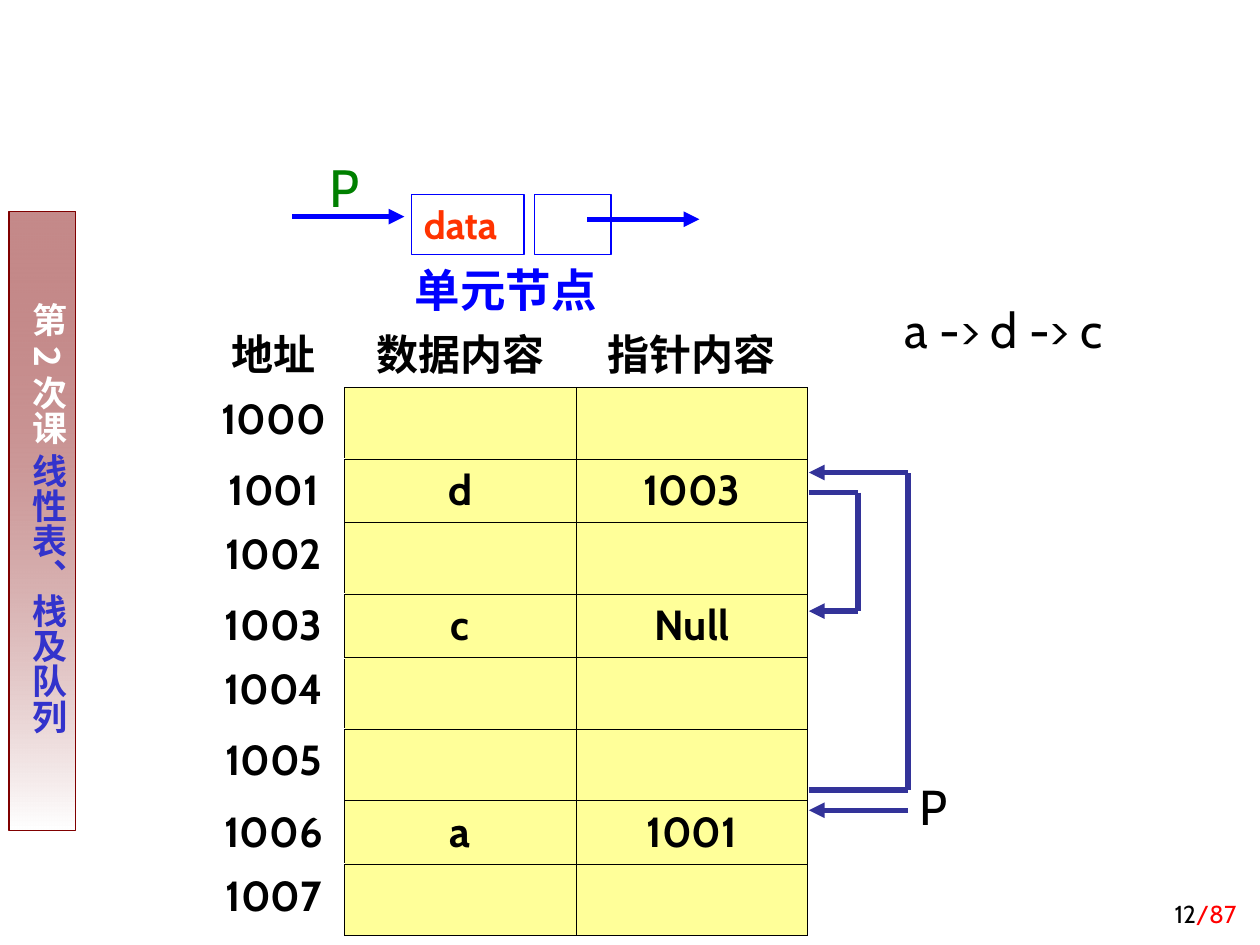
from lxml.etree import SubElement
from pptx import Presentation
from pptx.dml.color import RGBColor
from pptx.enum.shapes import MSO_CONNECTOR, MSO_SHAPE
from pptx.enum.text import MSO_ANCHOR, MSO_AUTO_SIZE, PP_ALIGN
from pptx.oxml.ns import qn
from pptx.util import Pt

BLACK = RGBColor(0, 0, 0)
WHITE = RGBColor(0xFF, 0xFF, 0xFF)
MAROON = RGBColor(0x80, 0, 0)
INDIGO = RGBColor(0x33, 0x33, 0xCC)
NAVY = RGBColor(0x33, 0x33, 0x99)
BLUE = RGBColor(0, 0, 0xFF)
GREEN = RGBColor(0, 0x80, 0)
RED = RGBColor(0xFF, 0, 0)
ORANGE = RGBColor(0xFF, 0x33, 0)
YELLOW = RGBColor(0xFF, 0xFF, 0x99)
LATIN, CHINESE = "Cabin", "Noto Sans CJK SC"


def add_run(para, text, size, color, bold=False, name=LATIN):
    span = para.add_run()
    span.text = text
    font = span.font
    font.size, font.bold, font.name = Pt(size), bold, name
    font.color.rgb = color
    SubElement(font._element, qn("a:ea"), typeface=name)


def add_line(x1, y1, x2, y2, color, arrow):
    line = slide.shapes.add_connector(
        MSO_CONNECTOR.STRAIGHT, Pt(x1), Pt(y1), Pt(x2), Pt(y2))
    line.line.color.rgb = color
    line.line.width = Pt(3)
    if arrow:
        SubElement(line.line._get_or_add_ln(), qn("a:tailEnd"), type="triangle")
    SubElement(line._element.spPr, qn("a:effectLst"))


deck = Presentation()
deck.slide_width, deck.slide_height = Pt(720), Pt(540)
slide = deck.slides.add_slide(deck.slide_layouts[6])

# Lecture title running down the left edge
sidebar = slide.shapes.add_shape(
    MSO_SHAPE.RECTANGLE, Pt(5.2), Pt(121), Pt(38.2), Pt(353.5))
sidebar.shadow.inherit = False
sidebar.line.color.rgb = MAROON
sidebar.line.width = Pt(0.75)
sidebar.fill.gradient()
sidebar.fill.gradient_angle = 270
top_stop, bottom_stop = sidebar.fill.gradient_stops
top_stop.color.rgb, bottom_stop.color.rgb = MAROON, WHITE
top_color = sidebar._element.spPr.find(".//" + qn("a:srgbClr"))
SubElement(top_color, qn("a:alpha"), val="46000")
frame = sidebar.text_frame
frame.word_wrap = True
frame.vertical_anchor = MSO_ANCHOR.TOP
frame.margin_left = frame.margin_right = Pt(3.6)
frame.margin_top = frame.margin_bottom = Pt(7.2)
frame._txBody.bodyPr.set("vert", "eaVert")
para = frame.paragraphs[0]
para.alignment = PP_ALIGN.LEFT
para._p.get_or_add_pPr().set("marL", str(Pt(45)))
add_run(para, "第2次课 ", 20, WHITE, True, CHINESE)
add_run(para, "线性表、栈及队列", 20, INDIGO, True, CHINESE)

# Memory table: address, data, pointer
memory_rows = [
    ("地址", "数据内容", "指针内容"),
    ("1000", "", ""),
    ("1001", "d", "1003"),
    ("1002", "", ""),
    ("1003", "c", "Null"),
    ("1004", "", ""),
    ("1005", "", ""),
    ("1006", "a", "1001"),
    ("1007", "", ""),
]
row_heights = [36 if row[1] else 40.8 for row in memory_rows]
table = slide.shapes.add_table(
    len(memory_rows), 3, Pt(116), Pt(185.1), Pt(345.6), Pt(sum(row_heights))).table
table.first_row = table.horz_banding = False
for column, width in zip(table.columns, (80.8, 132.4, 132.4)):
    column.width = Pt(width)
for r, row in enumerate(memory_rows):
    table.rows[r].height = Pt(row_heights[r])
    for c, text in enumerate(row):
        cell = table.cell(r, c)
        is_data = r > 0 and c > 0
        if is_data:
            sides = ("lnL", "lnR", "lnT", "lnB")
        elif r > 0:
            sides = ("lnR",)
        else:
            sides = ("lnB",) if c else ()
        for side in sides:
            border = SubElement(cell._tc.get_or_add_tcPr(), qn("a:" + side),
                                w=str(Pt(0.45)))
            ink = SubElement(border, qn("a:solidFill"))
            SubElement(ink, qn("a:srgbClr"), val=str(BLACK))
        if is_data:
            cell.fill.solid()
            cell.fill.fore_color.rgb = YELLOW
        else:
            cell.fill.background()
        if text:
            para = cell.text_frame.paragraphs[0]
            para.alignment = PP_ALIGN.CENTER
            add_run(para, text, 24, BLACK, True)

# Page number
box = slide.shapes.add_textbox(Pt(563.8), Pt(498.2), Pt(149.8), Pt(36))
box.text_frame.word_wrap = True
box.text_frame.vertical_anchor = MSO_ANCHOR.BOTTOM
para = box.text_frame.paragraphs[0]
para.alignment = PP_ALIGN.RIGHT
add_run(para, "12", 14, BLACK)
add_run(para, "/87", 14, RED)

# Single node: a data field and a pointer field
for left, width, text in ((235.2, 64.2, "data"), (305.4, 43.8, "")):
    field = slide.shapes.add_shape(
        MSO_SHAPE.RECTANGLE, Pt(left), Pt(111.3), Pt(width), Pt(34))
    field.shadow.inherit = False
    field.fill.background()
    field.line.color.rgb = BLUE
    field.line.width = Pt(0.75)
    if text:
        field.text_frame.word_wrap = False
        field.text_frame.vertical_anchor = MSO_ANCHOR.TOP
        para = field.text_frame.paragraphs[0]
        para.alignment = PP_ALIGN.LEFT
        add_run(para, text, 22, ORANGE, True)

labels = [
    ("单元节点", 229.8, 146.2, 120, 39, 26, BLUE, True),
    ("P", 181, 85, 33, 43, 30, GREEN, False),
    ("P", 518.4, 440, 31, 41, 28, BLACK, False),
    ("a -> d -> c", 510, 167.8, 141, 41, 28, BLACK, False),
]
for text, left, top, width, height, size, color, bold in labels:
    box = slide.shapes.add_textbox(Pt(left), Pt(top), Pt(width), Pt(height))
    box.text_frame.word_wrap = False
    box.text_frame.auto_size = MSO_AUTO_SIZE.SHAPE_TO_FIT_TEXT
    add_run(box.text_frame.paragraphs[0], text, size, color, bold)

# Node arrows, then the links between table rows
add_line(335.5, 125.3, 399.6, 125.3, BLUE, True)
add_line(167, 123.8, 231.1, 123.8, BLUE, True)

TABLE_EDGE = 462.2
add_line(518.9, 463, TABLE_EDGE, 463, NAVY, True)
for bend, start, end in ((518.8, 451.4, 270), (490.3, 281.5, 349.2)):
    add_line(TABLE_EDGE, start, bend, start, NAVY, False)
    add_line(bend, start, bend, end, NAVY, False)
    add_line(bend, end, TABLE_EDGE, end, NAVY, True)

deck.save("out.pptx")
